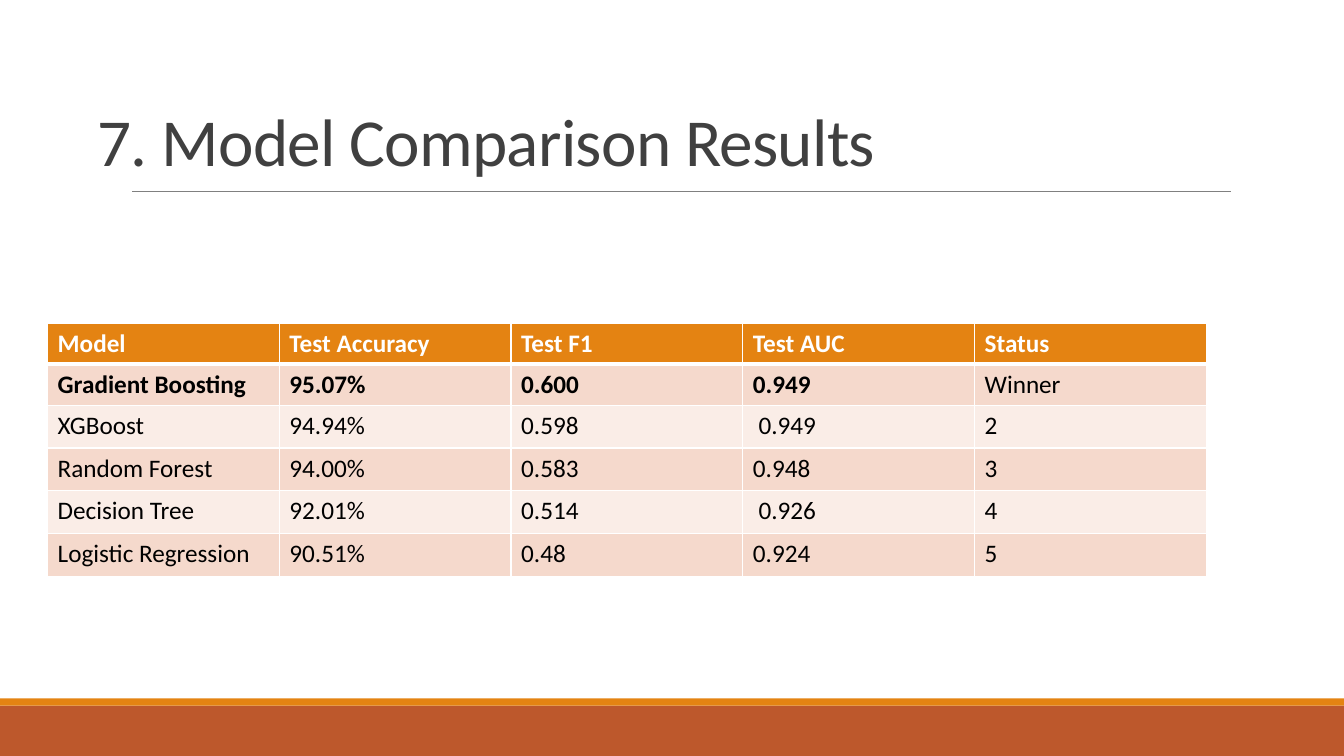
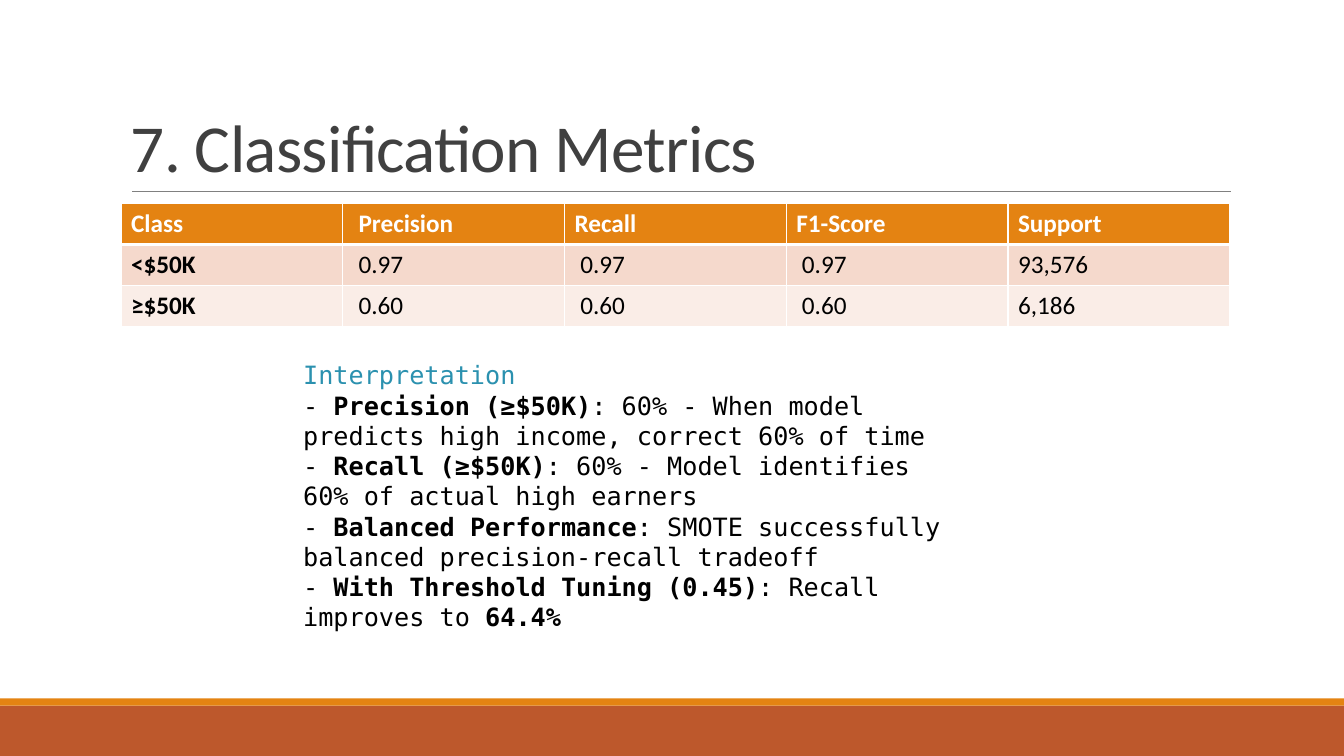
from lxml import etree
from pptx import Presentation
from pptx.dml.color import RGBColor
from pptx.enum.shapes import MSO_CONNECTOR, MSO_SHAPE
from pptx.enum.text import MSO_ANCHOR, MSO_AUTO_SIZE
from pptx.oxml.ns import qn
from pptx.util import Cm, Pt

RECTANGLE = MSO_SHAPE.RECTANGLE
STRAIGHT = MSO_CONNECTOR.STRAIGHT
BOTTOM = MSO_ANCHOR.BOTTOM
FIT_SHAPE = MSO_AUTO_SIZE.SHAPE_TO_FIT_TEXT

SLIDE_WIDTH, SLIDE_HEIGHT = 33.87, 19.05
BODY_FONT, CODE_FONT = "Calibri", "DejaVu Sans Mono"
ORANGE, RUST, GRAY = "E48312", "BD582C", "808080"
TITLE_COLOR, HEADING_COLOR = "404040", "2B91AF"
BLACK, WHITE = "000000", "FFFFFF"
ROW_FILLS = ("F5D9CC", "FAEDE7")

MODEL_ROWS = [
    ["Model", "Test Accuracy", "Test F1", "Test AUC", "Status"],
    ["Gradient Boosting", "95.07%", "0.600", "0.949", "Winner"],
    ["XGBoost", "94.94%", "0.598", " 0.949", "2"],
    ["Random Forest", "94.00%", "0.583", "0.948", "3"],
    ["Decision Tree", "92.01%", "0.514", " 0.926", "4"],
    ["Logistic Regression", "90.51%", "0.48", "0.924", "5"],
]
CLASS_ROWS = [
    ["Class", " Precision", "Recall", "F1-Score", "Support"],
    ["<$50K", " 0.97", " 0.97", " 0.97", "93,576"],
    ["≥$50K", " 0.60", " 0.60", " 0.60", "6,186"],
]
# Text between double asterisks is bold.
INTERPRETATION = [
    "- **Precision (≥$50K)**: 60% - When model predicts high income, correct 60% of time",
    "- **Recall (≥$50K)**: 60% - Model identifies 60% of actual high earners",
    "- **Balanced Performance**: SMOTE successfully balanced precision-recall tradeoff",
    "- **With Threshold Tuning (0.45)**: Recall improves to **64.4%**",
]


def color(hex_code):
    return RGBColor.from_string(hex_code)


def style_font(font, name, size, hex_code, bold=False):
    font.name, font.size, font.bold = name, Pt(size), bold
    font.color.rgb = color(hex_code)


def add_band(slide, top, height, fill):
    band = slide.shapes.add_shape(RECTANGLE, 0, Cm(top), Cm(SLIDE_WIDTH), Cm(height))
    band.shadow.inherit = False
    band.fill.solid()
    band.fill.fore_color.rgb = color(fill)
    band.line.fill.background()


def add_text_box(slide, left, top, width, height):
    box = slide.shapes.add_textbox(Cm(left), Cm(top), Cm(width), Cm(height))
    box.text_frame.word_wrap = True
    return box.text_frame


def add_titled_slide(presentation, title, left, top, width, height):
    """Add a slide with the footer bands, the title rule and a title in the given box."""
    slide = presentation.slides.add_slide(presentation.slide_layouts[6])
    add_band(slide, 17.78, 1.27, RUST)
    add_band(slide, 17.6, 0.18, ORANGE)

    rule = slide.shapes.add_connector(STRAIGHT, Cm(3.33), Cm(4.83), Cm(31.01), Cm(4.83))
    rule.line.color.rgb = color(GRAY)
    rule.line.width = Pt(0.5)
    etree.SubElement(rule._element.spPr, qn("a:effectLst"))

    frame = add_text_box(slide, left, top, width, height)
    frame.vertical_anchor = BOTTOM
    paragraph = frame.paragraphs[0]
    paragraph.line_spacing = 0.85
    run = paragraph.add_run()
    run.text = title
    style_font(paragraph.font, BODY_FONT, 48, TITLE_COLOR)
    run._r.get_or_add_rPr().set("spc", "-50")
    return slide


def set_cell_borders(cell, top, bottom):
    """Give a cell white borders: 1 pt at the sides, the given points above and below."""
    properties = cell._tc.get_or_add_tcPr()
    widths = {"a:lnL": 1, "a:lnR": 1, "a:lnT": top, "a:lnB": bottom}
    for index, (tag, points) in enumerate(widths.items()):
        line = etree.Element(qn(tag), w=str(Pt(points)))
        fill = etree.SubElement(line, qn("a:solidFill"))
        etree.SubElement(fill, qn("a:srgbClr"), val=WHITE)
        properties.insert(index, line)


def add_data_table(slide, rows, left, top, width, row_heights, bold_cells):
    """Add a banded table; bold_cells holds the (row, column) of bold body cells."""
    frame = slide.shapes.add_table(len(rows), len(rows[0]), Cm(left), Cm(top),
                                   Cm(width), Cm(sum(row_heights)))
    table = frame.table
    for column in table.columns:
        column.width = Cm(width / len(rows[0]))
    for r, (values, height) in enumerate(zip(rows, row_heights)):
        table.rows[r].height = Cm(height)
        is_header = r == 0
        for c, value in enumerate(values):
            cell = table.cell(r, c)
            cell.text = value
            cell.fill.solid()
            cell.fill.fore_color.rgb = color(ORANGE if is_header else ROW_FILLS[(r - 1) % 2])
            style_font(cell.text_frame.paragraphs[0].font, BODY_FONT, 18,
                       WHITE if is_header else BLACK, is_header or (r, c) in bold_cells)
            set_cell_borders(cell, top=3 if r == 1 else 1, bottom=3 if is_header else 1)


def add_interpretation(slide, left, top, width, height):
    frame = add_text_box(slide, left, top, width, height)
    frame.auto_size = FIT_SHAPE
    heading = frame.paragraphs[0]
    heading.text = "Interpretation"
    style_font(heading.font, CODE_FONT, 18, HEADING_COLOR)
    for line in INTERPRETATION:
        paragraph = frame.add_paragraph()
        style_font(paragraph.font, CODE_FONT, 18, BLACK)
        for index, part in enumerate(line.split("**")):
            if part:
                run = paragraph.add_run()
                run.text = part
                run.font.bold = index % 2 == 1


def build_model_slide(presentation):
    slide = add_titled_slide(presentation, "7. Model Comparison Results", 2.21, 1.07, 27.97, 3.6)
    add_data_table(slide, MODEL_ROWS, 1.2, 8.15, 29.2, [1.03] * 2 + [1.08] * 4,
                   bold_cells={(1, c) for c in range(4)})


def build_metrics_slide(presentation):
    slide = add_titled_slide(presentation, "7. Classification Metrics", 3.05, 0.79, 27.94, 4.04)
    add_data_table(slide, CLASS_ROWS, 3.05, 5.13, 27.94, [1.03] * 3,
                   bold_cells={(1, 0), (2, 0)})
    add_interpretation(slide, 7.39, 8.94, 16.94, 7.19)


def main():
    presentation = Presentation()
    presentation.slide_width = Cm(SLIDE_WIDTH)
    presentation.slide_height = Cm(SLIDE_HEIGHT)
    build_model_slide(presentation)
    build_metrics_slide(presentation)
    presentation.save("out.pptx")


if __name__ == "__main__":
    main()
